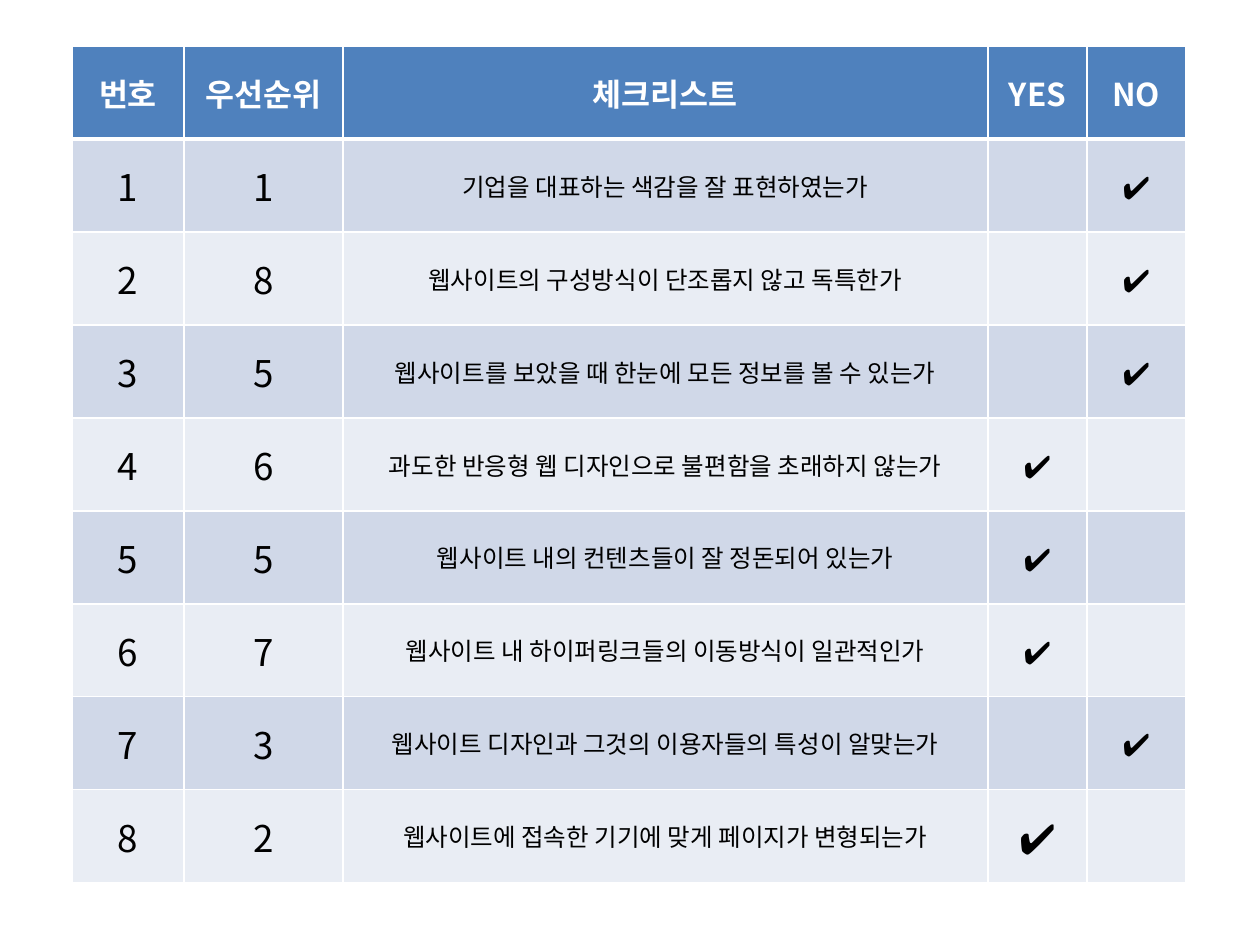
"""Build a one-slide website checklist table."""
from lxml.etree import SubElement as Sub
from pptx import Presentation
from pptx.dml.color import RGBColor as RGB
from pptx.enum.text import MSO_ANCHOR as Anchor, PP_ALIGN as Align
from pptx.oxml.ns import qn
from pptx.util import Emu, Pt

HEAD = ("번호", "우선순위", "체크리스트", "YES", "NO")
ITEMS = [
    (1, "기업을 대표하는 색감을 잘 표현하였는가", "NO"),
    (8, "웹사이트의 구성방식이 단조롭지 않고 독특한가", "NO"),
    (5, "웹사이트를 보았을 때 한눈에 모든 정보를 볼 수 있는가", "NO"),
    (6, "과도한 반응형 웹 디자인으로 불편함을 초래하지 않는가", "YES"),
    (5, "웹사이트 내의 컨텐츠들이 잘 정돈되어 있는가", "YES"),
    (7, "웹사이트 내 하이퍼링크들의 이동방식이 일관적인가", "YES"),
    (3, "웹사이트 디자인과 그것의 이용자들의 특성이 알맞는가", "NO"),
    (2, "웹사이트에 접속한 기기에 맞게 페이지가 변형되는가", "YES"),
]
FONT = "Noto Sans CJK KR"
WHITE = RGB(0xFF, 0xFF, 0xFF)
BLACK = RGB(0, 0, 0)
BLUE = RGB(0x4F, 0x81, 0xBD)
BANDS = (RGB(0xD0, 0xD8, 0xE8), RGB(0xE9, 0xED, 0xF4))
LEFT, TOP, ROW = 72, 46, 93
COLS = (112, 159, 645, 99, 99)
SIZES = (21, 21, 14, 18, 18)
HEAD_SIZE, LAST_MARK = 18, 24
THIN, THICK = 1, 3


def px(n):
    return Emu(round(n * 914400 / 126))


def edge(cell, side, width):
    props = cell._tc.get_or_add_tcPr()
    line = Sub(props, qn(f"a:ln{side}"), w=str(Pt(width)))
    fill = Sub(line, qn("a:solidFill"))
    Sub(fill, qn("a:srgbClr"), val=str(WHITE))


def style(cell, row, size):
    head = row == 0
    widths = {"L": THIN, "R": THIN, "T": THICK if row == 1 else THIN,
              "B": THICK if head else THIN}
    for side, width in widths.items():
        edge(cell, side, width)
    cell.fill.solid()
    cell.fill.fore_color.rgb = BLUE if head else BANDS[(row - 1) % 2]
    form = {"vertical_anchor": Anchor.MIDDLE,
            "margin_left": px(15), "margin_right": px(15),
            "margin_top": px(8), "margin_bottom": px(8)}
    for name, value in form.items():
        setattr(cell, name, value)
    para = cell.text_frame.paragraphs[0]
    para.alignment = Align.CENTER
    for run in para.runs:
        look = {"name": FONT, "size": Pt(size), "bold": head}
        for name, value in look.items():
            setattr(run.font, name, value)
        run.font.color.rgb = WHITE if head else BLACK
        Sub(run._r.get_or_add_rPr(), qn("a:ea"), typeface=FONT)


def main():
    rows = [HEAD]
    for num, (rank, text, answer) in enumerate(ITEMS, 1):
        marks = ["✔" if answer == name else "" for name in HEAD[3:]]
        rows.append((str(num), str(rank), text, *marks))

    deck = Presentation()
    deck.slide_width, deck.slide_height = px(1260), px(945)
    slide = deck.slides.add_slide(deck.slide_layouts[6])
    table = slide.shapes.add_table(
        len(rows), len(COLS), px(LEFT), px(TOP),
        px(sum(COLS)), px(ROW * len(rows))).table
    for col, width in zip(table.columns, COLS):
        col.width = px(width)
    for r, row in enumerate(rows):
        table.rows[r].height = px(ROW)
        for c, text in enumerate(row):
            cell = table.cell(r, c)
            cell.text = text
            size = SIZES[c] if r else HEAD_SIZE
            if r == len(ITEMS) and text == "✔":
                size = LAST_MARK
            style(cell, r, size)
    deck.save("out.pptx")


if __name__ == "__main__":
    main()
